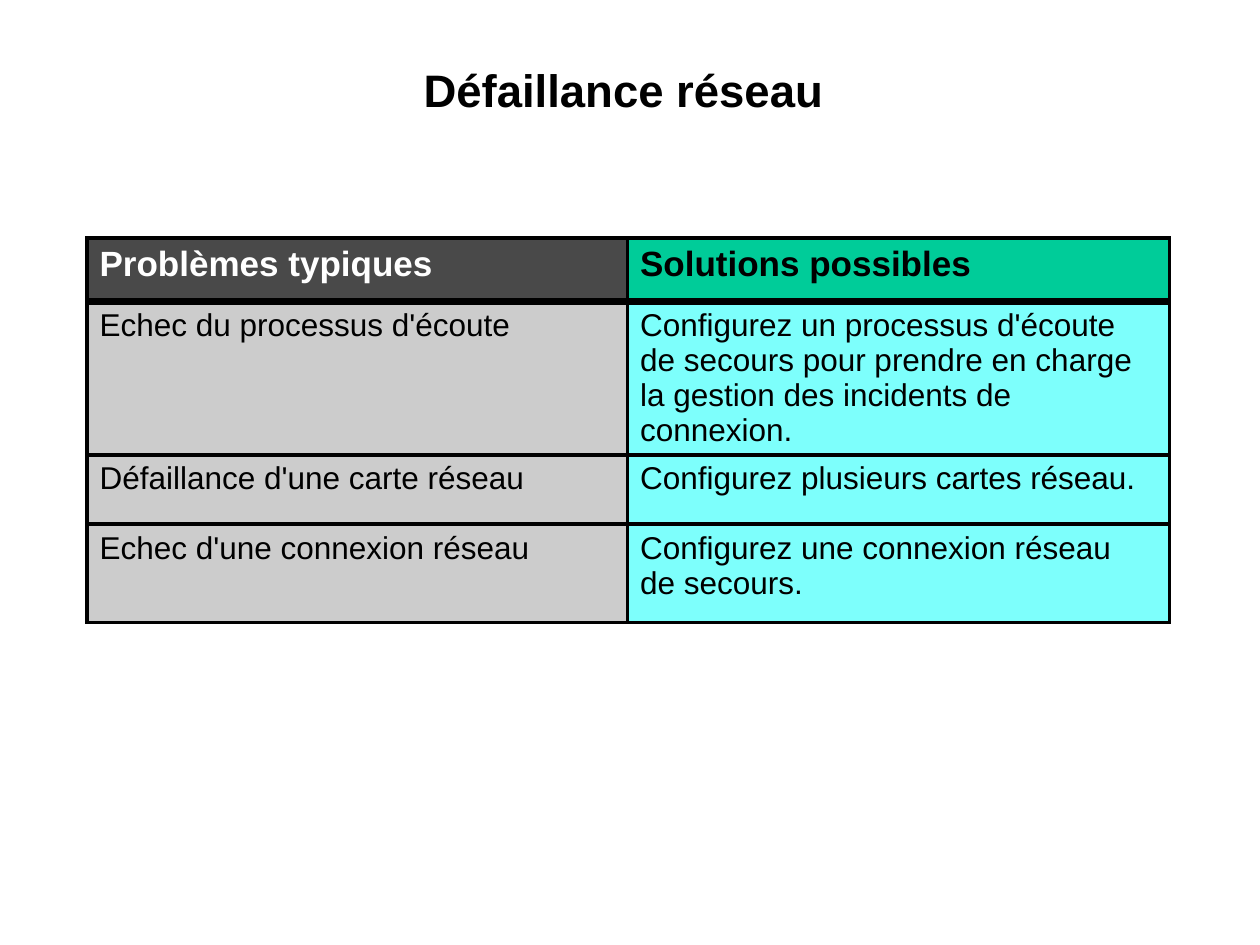
from lxml import etree
from pptx import Presentation
from pptx import util as u
from pptx.dml.color import RGBColor
from pptx.enum import text
from pptx.oxml import ns

BLACK = RGBColor(0x00, 0x00, 0x00)
WHITE = RGBColor(0xFF, 0xFF, 0xFF)
DARK = RGBColor(0x49, 0x49, 0x49)
GREEN = RGBColor(0x00, 0xCC, 0x99)
GRAY = RGBColor(0xCC, 0xCC, 0xCC)
CYAN = RGBColor(0x7D, 0xFF, 0xFC)

THIN, THICK = 2.25, 4.5
HEADS = ["Problèmes typiques", "Solutions possibles"]
CASES = [
    ["Echec du processus d'écoute",
     "Configurez un processus d'écoute de secours pour prendre en charge "
     "la gestion des incidents de connexion."],
    ["Défaillance d'une carte réseau", "Configurez plusieurs cartes réseau."],
    ["Echec d'une connexion réseau",
     "Configurez une connexion réseau\vde secours."],
]


class Deck:
    face = "Arial"

    def __init__(self):
        self.prs = Presentation()
        self.prs.slide_width = u.Inches(10)
        self.prs.slide_height = u.Inches(7.5)
        self.slide = self.prs.slides.add_slide(self.prs.slide_layouts[5])

    def label(self, frame, words, size, color, bold):
        para = frame.paragraphs[0]
        para.text = words
        for run in para.runs:
            font = run.font
            font.name, font.size, font.bold = self.face, u.Pt(size), bold
            font.color.rgb = color
        return para

    def title(self, words, left, top, width, height):
        box = self.slide.shapes.title
        box.left, box.top = u.Inches(left), u.Inches(top)
        box.width, box.height = u.Inches(width), u.Inches(height)
        frame = box.text_frame
        frame.auto_size = text.MSO_AUTO_SIZE.NONE
        frame.vertical_anchor = text.MSO_ANCHOR.TOP
        frame.margin_left = frame.margin_right = u.Inches(0.01)
        frame.margin_top = frame.margin_bottom = u.Inches(0.01)
        para = self.label(frame, words, 26, BLACK, True)
        para.alignment = text.PP_ALIGN.CENTER

    def border(self, cell, top, bottom):
        props = cell._tc.get_or_add_tcPr()
        sides = [("L", THIN), ("R", THIN), ("T", top), ("B", bottom)]
        for spot, (side, width) in enumerate(sides):
            line = etree.Element(ns.qn("a:ln" + side), w=str(u.Pt(width)))
            fill = etree.SubElement(line, ns.qn("a:solidFill"))
            etree.SubElement(fill, ns.qn("a:srgbClr"), val=str(BLACK))
            props.insert(spot, line)

    def table(self, rows, left, top, widths, heights):
        grid = self.slide.shapes.add_table(
            len(rows), len(widths), u.Inches(left), u.Inches(top),
            u.Inches(sum(widths)), u.Inches(sum(heights))).table
        grid.horz_banding = False
        for col, width in zip(grid.columns, widths):
            col.width = u.Inches(width)
        for r, (row, height) in enumerate(zip(rows, heights)):
            grid.rows[r].height = u.Inches(height)
            head = r == 0
            fills = (DARK, GREEN) if head else (GRAY, CYAN)
            for c, words in enumerate(row):
                cell = grid.cell(r, c)
                cell.fill.solid()
                cell.fill.fore_color.rgb = fills[c]
                color = WHITE if head and c == 0 else BLACK
                self.label(cell.text_frame, words, 20 if head else 18,
                           color, head)
                self.border(cell, THICK if r == 1 else THIN,
                            THICK if head else THIN)


def main():
    deck = Deck()
    deck.title("Défaillance réseau ", 0.67, 0.48, 8.66, 0.96)
    deck.table([HEADS] + CASES, 0.69, 1.89, [4.29, 4.3],
               [0.5, 1.22, 0.55, 0.78])
    deck.prs.save("out.pptx")


if __name__ == "__main__":
    main()
